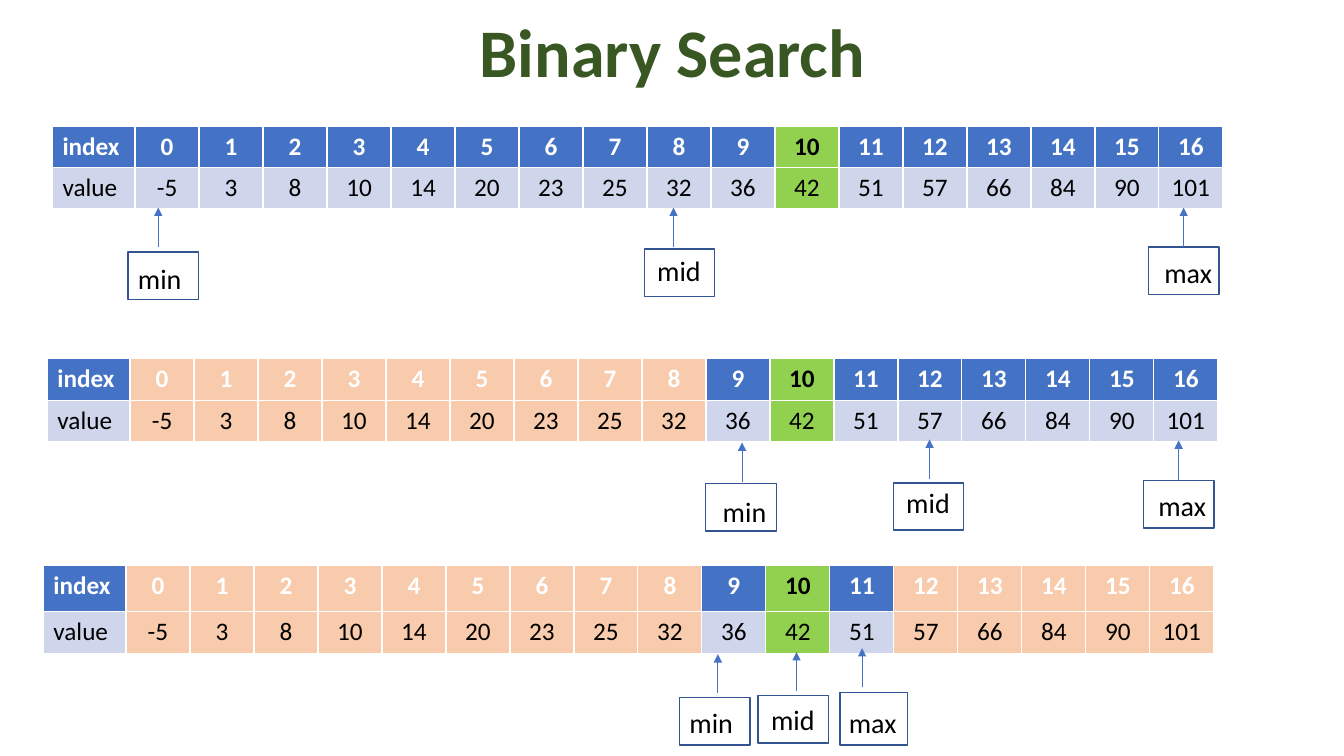
"""Build a slide that shows three steps of a binary search."""
from lxml.etree import SubElement
from pptx import Presentation
from pptx.dml.color import RGBColor
from pptx.enum.shapes import MSO_CONNECTOR, MSO_SHAPE
from pptx.enum.text import MSO_ANCHOR, PP_ALIGN
from pptx.oxml.ns import qn
from pptx.util import Inches, Pt


def color(hex_string):
    return RGBColor.from_string(hex_string)


def write(text_frame, text, size, hex_string, bold=False, align=PP_ALIGN.LEFT):
    text_frame.word_wrap = True
    paragraph = text_frame.paragraphs[0]
    paragraph.text = text
    paragraph.alignment = align
    font_format = {"name": "Calibri", "size": Pt(size), "bold": bold}
    for attribute, value in font_format.items():
        setattr(paragraph.font, attribute, value)
    paragraph.font.color.rgb = color(hex_string)
    return paragraph


BLUE, PALE_BLUE, GREEN, PEACH = "4472C4", "CFD5EA", "92D050", "F8CBAD"
BLACK, WHITE = "000000", "FFFFFF"
LABEL_WIDTH, TABLE_WIDTH, ROW_HEIGHT = 0.82, 11.61, 0.41
ARROW_LENGTH = 0.39
BOX_SIZE = (0.7, 0.47)
VALUES = [-5, 3, 8, 10, 14, 20, 23, 25, 32, 36, 42, 51, 57, 66, 84, 90, 101]
TARGET = VALUES.index(42)
ROWS = [["index", *range(len(VALUES))], ["value", *VALUES]]

STEPS = [
    {"left": 0.52, "top": 1.25, "header": 0.41, "active": range(0, 17), "pointers": [
        ("min", (1.27, 2.5), BOX_SIZE, (1.27, 2.55), (1.57, 2.06)),
        ("mid", (6.39, 2.47), BOX_SIZE, (6.42, 2.47), (6.68, 2.06)),
        ("max", (11.39, 2.45), BOX_SIZE, (11.45, 2.49), (11.74, 2.06))]},
    {"left": 0.47, "top": 3.56, "header": 0.41, "active": range(9, 17), "pointers": [
        ("min", (7, 4.8), BOX_SIZE, (7.07, 4.86), (7.36, 4.39)),
        ("mid", (8.86, 4.79), BOX_SIZE, (8.89, 4.77), (9.22, 4.36)),
        ("max", (11.34, 4.77), BOX_SIZE, (11.39, 4.8), (11.69, 4.37))]},
    {"left": 0.43, "top": 5.61, "header": 0.46, "active": range(9, 12), "pointers": [
        ("min", (6.74, 6.92), BOX_SIZE, (6.74, 6.95), (7.12, 6.49)),
        ("mid", (7.52, 6.9), BOX_SIZE, (7.55, 6.92), (7.9, 6.47)),
        ("max", (8.33, 6.87), (0.67, 0.52), (8.32, 6.95), (8.55, 6.43))]},
]

presentation = Presentation()
presentation.slide_width = Inches(13.33)
presentation.slide_height = Inches(7.5)
slide = presentation.slides.add_slide(presentation.slide_layouts[6])

title = slide.shapes.add_textbox(Inches(0.92), Inches(0.14), Inches(11.5), Inches(0.83))
title.text_frame.vertical_anchor = MSO_ANCHOR.MIDDLE
heading = write(title.text_frame, "Binary Search", 48.6, "385723", True, PP_ALIGN.CENTER)
heading.line_spacing = 0.9

for step in STEPS:
    table = slide.shapes.add_table(
        len(ROWS), len(ROWS[0]), Inches(step["left"]), Inches(step["top"]),
        Inches(TABLE_WIDTH), Inches(step["header"] + ROW_HEIGHT)).table
    table.rows[0].height = Inches(step["header"])
    table.rows[1].height = Inches(ROW_HEIGHT)
    for column_number, column in enumerate(table.columns):
        value_width = (TABLE_WIDTH - LABEL_WIDTH) / len(VALUES)
        column.width = Inches(value_width if column_number else LABEL_WIDTH)

    for row_number, row in enumerate(ROWS):
        is_header = row_number == 0
        for column_number, content in enumerate(row):
            is_label = column_number == 0
            position = column_number - 1
            is_target = position == TARGET
            if is_target:
                fill = GREEN
            elif is_label or position in step["active"]:
                fill = BLUE if is_header else PALE_BLUE
            else:
                fill = PEACH
            cell = table.cell(row_number, column_number)
            cell.fill.solid()
            cell.fill.fore_color.rgb = color(fill)
            write(cell.text_frame, str(content), 18,
                  WHITE if is_header and not is_target else BLACK, is_header,
                  PP_ALIGN.LEFT if is_label else PP_ALIGN.CENTER)

    for name, box_corner, box_size, label_corner, (tip_x, tip_y) in step["pointers"]:
        box = slide.shapes.add_shape(
            MSO_SHAPE.RECTANGLE, *map(Inches, box_corner + box_size))
        box.shadow.inherit = False
        box.fill.background()
        box.line.color.rgb = color("325491")
        box.line.width = Pt(1)

        label = slide.shapes.add_textbox(*map(Inches, label_corner + (0.7, 0.44)))
        write(label.text_frame, name, 20, BLACK)

        arrow = slide.shapes.add_connector(
            MSO_CONNECTOR.STRAIGHT, Inches(tip_x), Inches(tip_y + ARROW_LENGTH),
            Inches(tip_x), Inches(tip_y))
        arrow.line.color.rgb = color(BLUE)
        arrow.line.width = Pt(0.5)
        SubElement(arrow.line._get_or_add_ln(), qn("a:tailEnd"), type="triangle")
        SubElement(arrow._element.spPr, qn("a:effectLst"))

presentation.save("out.pptx")
